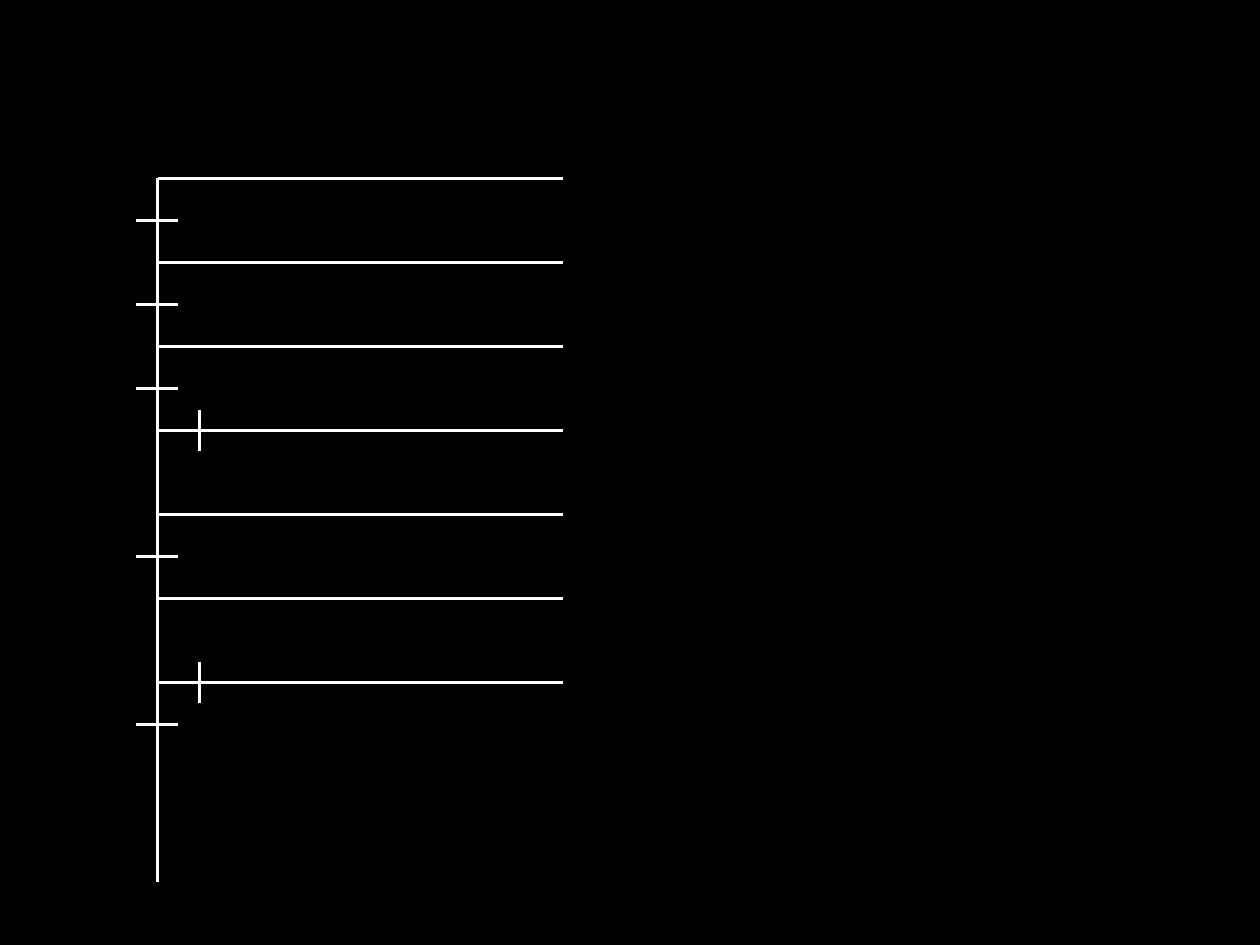
from lxml.etree import SubElement
from pptx import Presentation
from pptx.dml.color import RGBColor
from pptx.enum.shapes import MSO_CONNECTOR as Connector
from pptx.oxml.ns import qn
from pptx.util import Pt

BLACK = RGBColor(0x00, 0x00, 0x00)
WHITE = RGBColor(0xFF, 0xFF, 0xFF)

ROW_COUNT = 7
ROW_STEP = 48
TICK_HALF = 12
AXIS_TICK_ROWS = (0, 1, 2, 4, 6)
BRANCH_TICK_ROWS = (3, 6)


def add_line(slide, x1, y1, x2, y2):
    """Draw a white line between two points given in points."""
    line = slide.shapes.add_connector(
        Connector.STRAIGHT, Pt(x1), Pt(y1), Pt(x2), Pt(y2))
    line.line.color.rgb = WHITE
    line.line.width = Pt(2)
    SubElement(line._element.spPr, qn("a:effectLst"))


def add_branch_diagram(slide, left, top, width, height):
    """Draw the trunk, its evenly spaced branches and the tick marks."""
    add_line(slide, left, top, left, top + height)
    for row in range(ROW_COUNT):
        branch_y = top + row * ROW_STEP
        add_line(slide, left, branch_y, left + width, branch_y)
    for row in AXIS_TICK_ROWS:
        tick_y = top + (row + 0.5) * ROW_STEP
        add_line(slide, left - TICK_HALF, tick_y, left + TICK_HALF, tick_y)
    for row in BRANCH_TICK_ROWS:
        tick_x = left + ROW_STEP / 2
        branch_y = top + row * ROW_STEP
        add_line(slide, tick_x, branch_y - TICK_HALF, tick_x, branch_y + TICK_HALF)


def main():
    """Build the slide and save it."""
    deck = Presentation()
    deck.slide_width, deck.slide_height = Pt(720), Pt(540)
    slide = deck.slides.add_slide(deck.slide_layouts[6])
    background = slide.background.fill
    background.solid()
    background.fore_color.rgb = BLACK
    add_branch_diagram(slide, left=90, top=102, width=232, height=402)
    deck.save("out.pptx")


if __name__ == "__main__":
    main()
